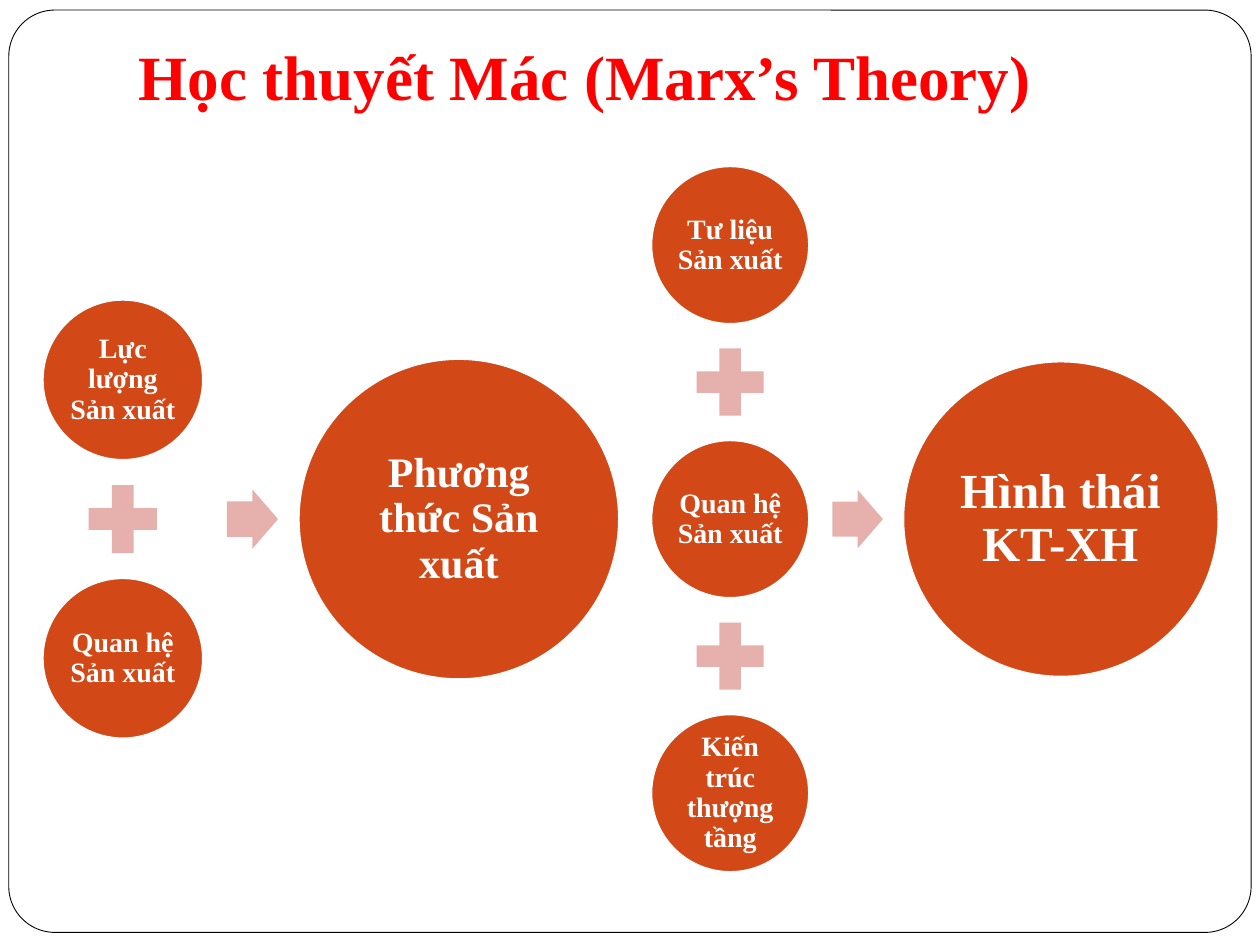
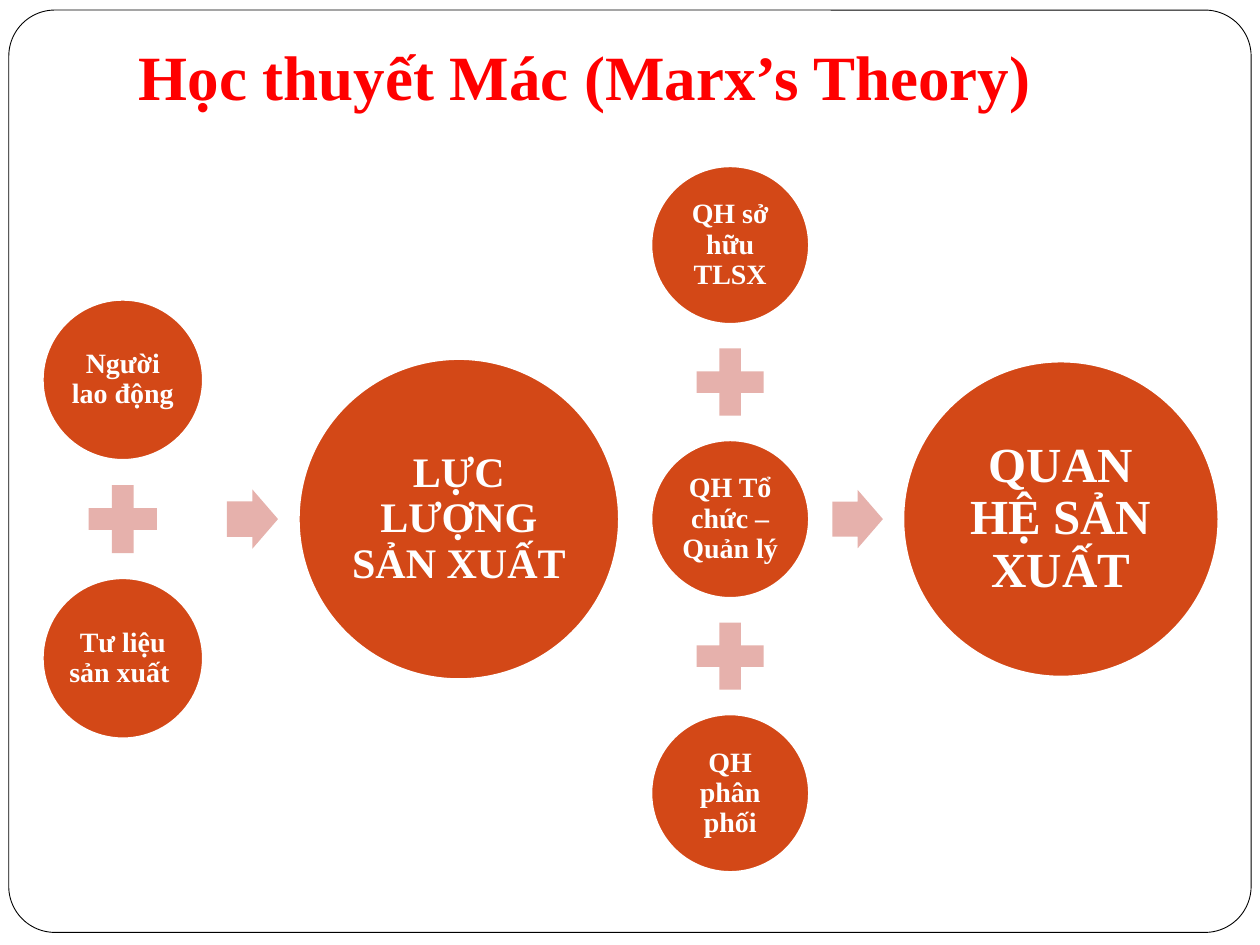
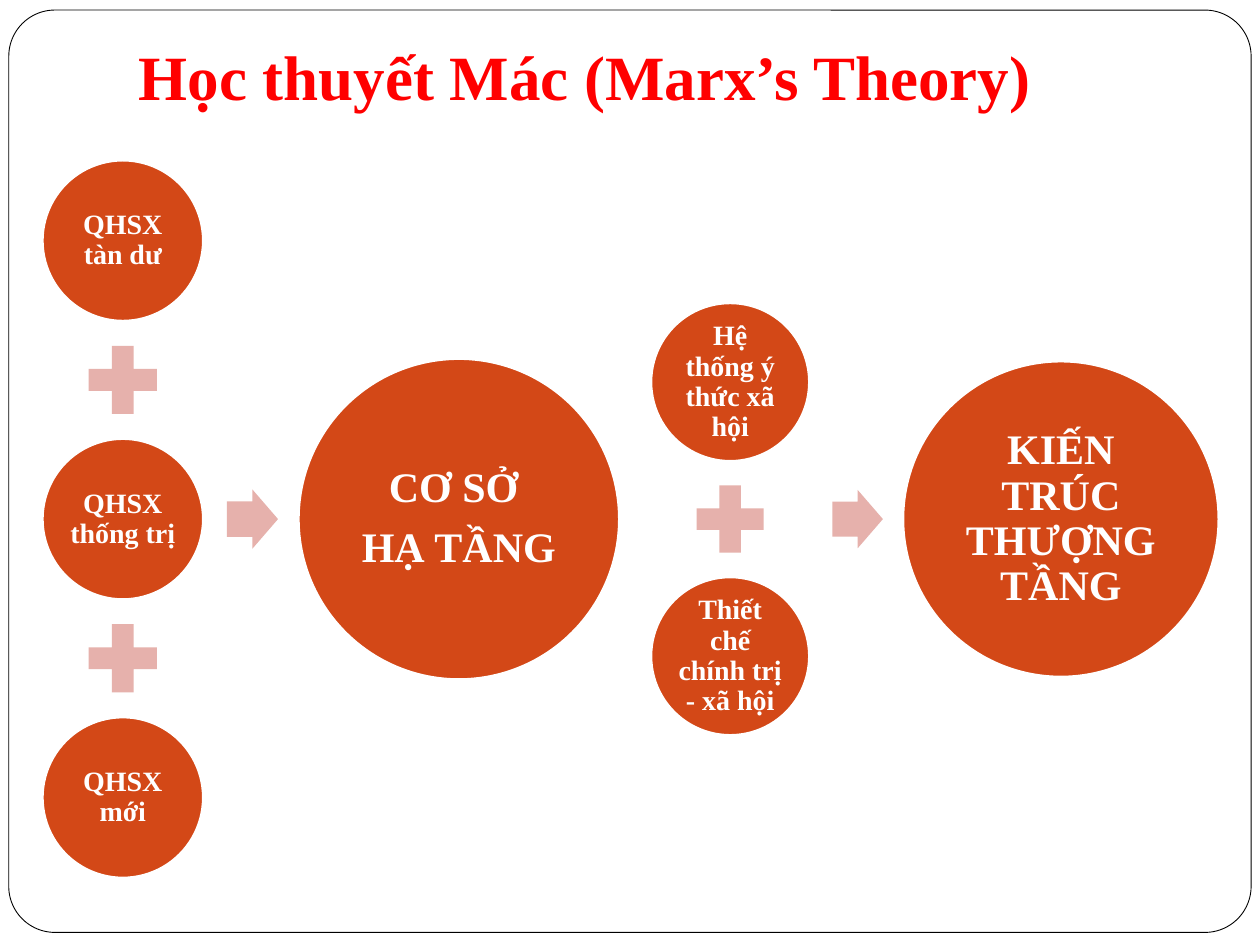
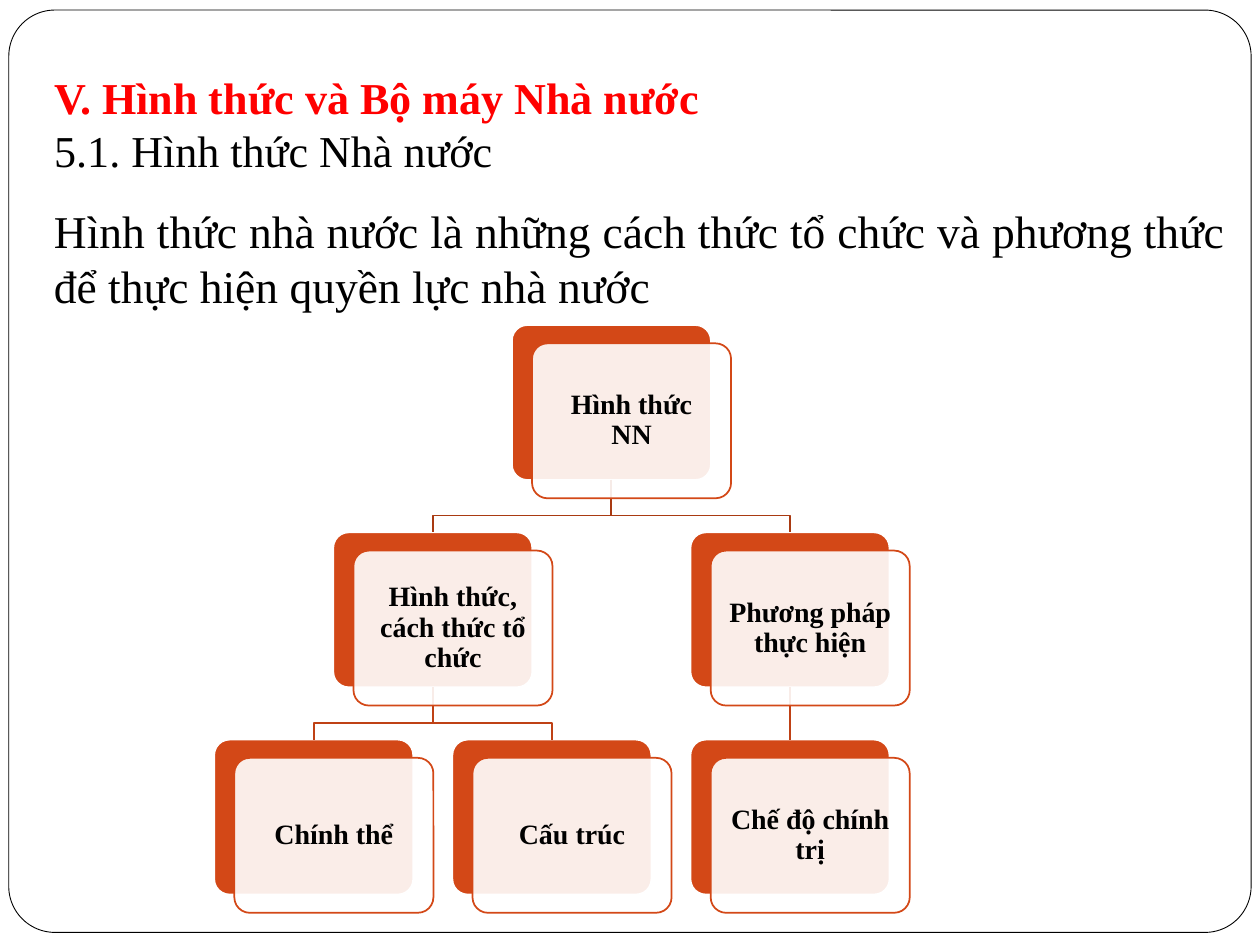
"""Four slides on Marx's theory and the forms of the state."""
from lxml.etree import SubElement
from pptx import Presentation
from pptx.dml.color import RGBColor
from pptx.enum.shapes import MSO_CONNECTOR, MSO_SHAPE
from pptx.enum.text import MSO_ANCHOR, MSO_AUTO_SIZE, PP_ALIGN
from pptx.oxml.ns import qn
from pptx.util import Inches, Pt

RED = RGBColor(0xFF, 0x00, 0x00)
BLACK = RGBColor(0x00, 0x00, 0x00)
WHITE = RGBColor(0xFF, 0xFF, 0xFF)
ORANGE = RGBColor(0xD3, 0x48, 0x17)
PINK = RGBColor(0xE6, 0xB1, 0xAC)
ROOT_LINK = RGBColor(0xA9, 0x3A, 0x12)
LEAF_LINK = RGBColor(0xBF, 0x41, 0x15)

FONT = "Times New Roman"
GRID_COLUMNS, GRID_ROWS = 20, 15
CELL = Inches(0.5)
THEORY_TITLE = "Học thuyết Mác (Marx’s Theory)"

AXIS_ROW = 8.24
LEFT_COLUMN, LEFT_DIAMETER = 0.68, 2.54
RIGHT_COLUMN, RIGHT_DIAMETER = 10.34, 2.5

CARD_COLUMNS, CARD_ROWS = 3.16, 2.46
TREE_COLUMN, TREE_ROW = 3.4, 5.16
TREE_COLUMN_STEP, TREE_ROW_STEP = 3.78, 3.29
FRONT_SHIFT_COLUMN, FRONT_SHIFT_ROW = 0.32, 0.29
LINK_BEND = 0.68

EQUATION_SLIDES = [
    (
        (["Lực lượng Sản xuất", "Quan hệ Sản xuất"], ["Phương thức Sản xuất"], 24),
        (["Tư liệu Sản xuất", "Quan hệ Sản xuất", "Kiến trúc thượng tầng"],
         ["Hình thái KT-XH"], 28),
    ),
    (
        (["Người lao động", "Tư liệu sản xuất "], ["LỰC LƯỢNG SẢN XUẤT"], 24),
        (["QH sở hữu TLSX", "QH Tổ chức – Quản lý", "QH phân phối"],
         ["QUAN HỆ SẢN XUẤT"], 28),
    ),
    (
        (["QHSX tàn dư", "QHSX thống trị", "QHSX mới"], ["CƠ SỞ ", "HẠ TẦNG"], 24),
        (["Hệ thống ý thức xã hội", "Thiết chế chính trị - xã hội"],
         ["KIẾN TRÚC THƯỢNG TẦNG"], 24),
    ),
]

TREE_NODES = {
    "root": (1.25, 0, "Hình thức\nNN"),
    "organisation": (0.5, 1, "Hình thức, cách thức tổ chức"),
    "method": (2, 1, "Phương pháp thực hiện"),
    "polity": (0, 2, "Chính thể"),
    "structure": (1, 2, "Cấu trúc"),
    "regime": (2, 2, "Chế độ chính trị"),
}
TREE_LINKS = [
    ("root", "organisation", ROOT_LINK),
    ("root", "method", ROOT_LINK),
    ("organisation", "polity", LEAF_LINK),
    ("organisation", "structure", LEAF_LINK),
    ("method", "regime", LEAF_LINK),
]


def area(column, row, columns, rows):
    """Turn a grid area into left, top, width and height."""
    return [round(CELL * value) for value in (column, row, columns, rows)]


def add_run(paragraph, text, size, color, bold=False):
    """Append one formatted run."""
    run = paragraph.add_run()
    run.text = text
    run.font.name = FONT
    run.font.size = Pt(size)
    run.font.bold = bold
    run.font.color.rgb = color


def set_frame(text_frame, anchor, left, top, right, bottom):
    """Set wrapping, anchor and insets in inches."""
    text_frame.word_wrap = True
    text_frame.auto_size = MSO_AUTO_SIZE.NONE
    text_frame.vertical_anchor = anchor
    text_frame.margin_left, text_frame.margin_top = Inches(left), Inches(top)
    text_frame.margin_right, text_frame.margin_bottom = Inches(right), Inches(bottom)


def write_label(shape, texts, size, color, inset):
    """Write centred bold paragraphs into a diagram shape."""
    text_frame = shape.text_frame
    set_frame(text_frame, MSO_ANCHOR.MIDDLE, inset, inset, inset, inset)
    for index, text in enumerate(texts):
        paragraph = text_frame.add_paragraph() if index else text_frame.paragraphs[0]
        paragraph.alignment = PP_ALIGN.CENTER
        paragraph.line_spacing = 0.9
        paragraph.space_after = Pt(0.35 * size)
        for number, line in enumerate(text.split("\n")):
            if number:
                paragraph.add_line_break()
            add_run(paragraph, line, size, color, True)


def add_figure(shapes, preset, place, fill, line=None, line_width=1):
    """Add a flat preset shape on the grid."""
    shape = shapes.add_shape(preset, *area(*place))
    shape.shadow.inherit = False
    shape.fill.solid()
    shape.fill.fore_color.rgb = fill
    if line is None:
        shape.line.fill.background()
    else:
        shape.line.color.rgb = line
        shape.line.width = Pt(line_width)
    return shape


def add_circle(shapes, column, row, diameter, texts, size):
    """Add a labelled orange circle."""
    circle = add_figure(shapes, MSO_SHAPE.OVAL, (column, row, diameter, diameter),
                        ORANGE, WHITE)
    write_label(circle, texts, size, WHITE, 0.02)


def add_equation(slide, column, diameter, terms, result, result_size):
    """Add a column of summed circles with an arrow to a double-size result."""
    shapes = slide.shapes.add_group_shape().shapes
    pitch, plus = 1.74 * diameter, 0.58 * diameter
    center = column + diameter / 2
    for index, term in enumerate(terms):
        middle = AXIS_ROW + (index - (len(terms) - 1) / 2) * pitch
        if index:
            add_figure(shapes, MSO_SHAPE.MATH_PLUS,
                       (center - plus / 2, middle - pitch / 2 - plus / 2, plus, plus), PINK)
        add_circle(shapes, column, middle - diameter / 2, diameter, [term], 16)
    arrow_height = 0.37 * diameter
    arrow = add_figure(shapes, MSO_SHAPE.RIGHT_ARROW,
                       (column + 1.15 * diameter, AXIS_ROW - arrow_height / 2,
                        0.32 * diameter, arrow_height), PINK)
    arrow.adjustments[0] = 0.6
    add_circle(shapes, column + 1.6 * diameter, AXIS_ROW - diameter, 2 * diameter,
               result, result_size)


def add_card(shapes, place, fill, line):
    """Add one rounded card of the tree."""
    card = add_figure(shapes, MSO_SHAPE.ROUNDED_RECTANGLE,
                      (*place, CARD_COLUMNS, CARD_ROWS), fill, line)
    card.adjustments[0] = 0.1
    return card


def add_link(shapes, parent, child, color):
    """Link the bottom of a parent card to the top of its child."""
    start_x, start_y = parent.left + parent.width // 2, parent.top + parent.height
    end_x, end_y = child.left + child.width // 2, child.top
    if start_x == end_x:
        link = shapes.add_connector(MSO_CONNECTOR.STRAIGHT, start_x, start_y, end_x, end_y)
        link.begin_connect(parent, 2)
        link.end_connect(child, 0)
    else:
        bend_y = round(start_y + LINK_BEND * (end_y - start_y))
        builder = shapes.build_freeform(start_x, start_y)
        builder.add_line_segments([(start_x, bend_y), (end_x, bend_y), (end_x, end_y)],
                                  close=False)
        link = builder.convert_to_shape()
        link.fill.background()
    link.line.color.rgb = color
    link.line.width = Pt(1)
    SubElement(link.element.find(qn("p:spPr")), qn("a:effectLst"))


def add_tree(slide):
    """Add the tree of state forms with layered cards."""
    shapes = slide.shapes.add_group_shape().shapes
    places = {name: (TREE_COLUMN + column * TREE_COLUMN_STEP, TREE_ROW + row * TREE_ROW_STEP)
              for name, (column, row, _) in TREE_NODES.items()}
    backs = {name: add_card(shapes, place, ORANGE, WHITE) for name, place in places.items()}
    for parent, child, color in TREE_LINKS:
        add_link(shapes, backs[parent], backs[child], color)
    for name, (column, row) in places.items():
        front = add_card(shapes, (column + FRONT_SHIFT_COLUMN, row + FRONT_SHIFT_ROW),
                         WHITE, ORANGE)
        fill_color = front.element.find(".//" + qn("a:srgbClr"))
        SubElement(fill_color, qn("a:alpha"), val="90000")
        write_label(front, [TREE_NODES[name][2]], 16, BLACK, 0.07)


def add_slide(presentation, place, anchor, top_inset):
    """Add a title-only slide and return it with its title paragraph."""
    slide = presentation.slides.add_slide(presentation.slide_layouts[5])
    title = slide.shapes.title
    title.left, title.top, title.width, title.height = area(*place)
    set_frame(title.text_frame, anchor, 0.1, top_inset, 0.1, 0.1)
    paragraph = title.text_frame.paragraphs[0]
    paragraph.alignment = PP_ALIGN.LEFT
    return slide, paragraph


def add_theory_slide(presentation, left, right):
    """Add a slide with two circle equations."""
    slide, paragraph = add_slide(presentation, (2, 0.6, 17, 2.5), MSO_ANCHOR.TOP, 0)
    add_run(paragraph, THEORY_TITLE, 36, RED, True)
    add_equation(slide, LEFT_COLUMN, LEFT_DIAMETER, *left)
    add_equation(slide, RIGHT_COLUMN, RIGHT_DIAMETER, *right)


def add_state_slide(presentation):
    """Add the slide on the forms of the state."""
    slide, paragraph = add_slide(presentation, (0.66, 1, 19, 2), MSO_ANCHOR.BOTTOM, 0.05)
    add_run(paragraph, "V. Hình thức và Bộ máy Nhà nước", 25.2, RED, True)
    paragraph.add_line_break()
    add_run(paragraph, "5.1. Hình thức Nhà nước", 25.2, BLACK)
    definition = slide.shapes.add_textbox(*area(0.66, 3, 19, 2.16)).text_frame
    set_frame(definition, MSO_ANCHOR.BOTTOM, 0.1, 0.05, 0.1, 0.1)
    definition.paragraphs[0].alignment = PP_ALIGN.JUSTIFY
    add_run(definition.paragraphs[0],
            "Hình thức nhà nước là những cách thức tổ chức và phương thức "
            "để thực hiện quyền lực nhà nước", 26, BLACK)
    add_tree(slide)


def add_master_frame(presentation):
    """Put the rounded page frame on the slide master."""
    frame = add_figure(presentation.slides[0].shapes, MSO_SHAPE.ROUNDED_RECTANGLE,
                       (0.14, 0.16, 19.72, 14.64), WHITE, BLACK, 0.5)
    frame.adjustments[0] = 0.05
    presentation.slide_master.shapes.element.insert(2, frame.element)


def main():
    """Build and save the presentation."""
    presentation = Presentation()
    presentation.slide_width = CELL * GRID_COLUMNS
    presentation.slide_height = CELL * GRID_ROWS
    for left, right in EQUATION_SLIDES:
        add_theory_slide(presentation, left, right)
    add_state_slide(presentation)
    add_master_frame(presentation)
    presentation.save("out.pptx")


if __name__ == "__main__":
    main()
